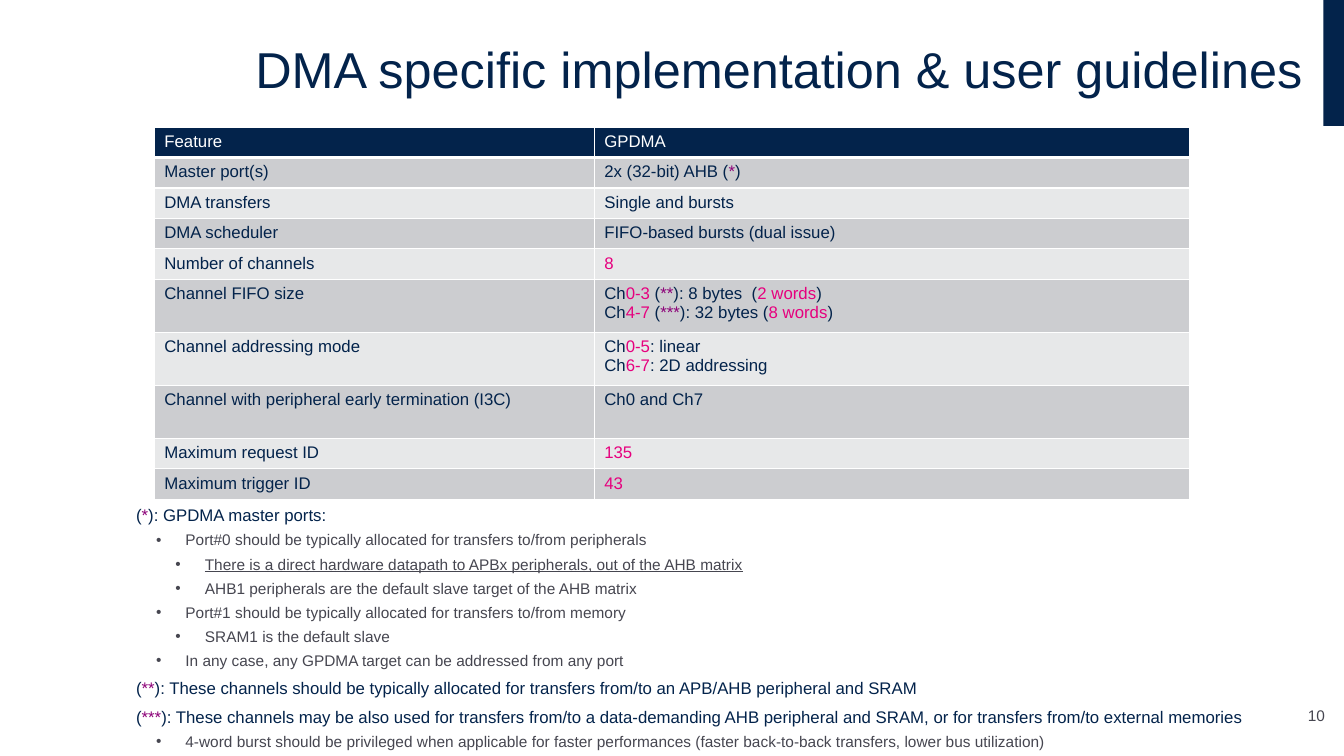
from lxml import etree
from pptx import Presentation
from pptx import util as u
from pptx.dml.color import RGBColor
from pptx.enum import shapes, text
from pptx.oxml.ns import qn

PX = 4762.5
HEX = {
    "navy": "03234B", "grey": "464650", "pink": "E6007E", "plum": "8C0078",
    "white": "FFFFFF", "dark": "CCCDD0", "light": "E7E8E9",
}
ROWS = [
    ("Master port(s)", [["2x (32-bit) AHB (", ("*", "plum"), ")"]]),
    ("DMA transfers", [["Single and bursts"]]),
    ("DMA scheduler", [["FIFO-based bursts (dual issue)"]]),
    ("Number of channels", [[("8", "pink")]]),
    ("Channel FIFO size", [
        ["Ch", ("0-3", "pink"), " (", ("**", "plum"), "): 8 bytes  (", ("2 words", "pink"), ")"],
        ["Ch", ("4-7", "pink"), " (", ("***", "plum"), "): 32 bytes (", ("8 words", "pink"), ")"],
    ]),
    ("Channel addressing mode", [
        ["Ch", ("0-5", "pink"), ": linear"],
        ["Ch", ("6-7", "pink"), ": 2D addressing"],
    ]),
    ("Channel with peripheral early termination (I3C)", [["Ch0 and Ch7"]]),
    ("Maximum request ID", [[("135", "pink")]]),
    ("Maximum trigger ID", [[("43", "pink")]]),
]
HIGH = [58] * 5 + [101] * 3 + [58] * 2
NOTES = [
    (2, ["(", ("*", "plum"), "): GPDMA master ports:"]),
    (3, ["Port#0 should be typically allocated for transfers to/from peripherals"]),
    (4, ["There is a direct hardware datapath to APBx peripherals, out of the AHB matrix"]),
    (4, ["AHB1 peripherals are the default slave target of the AHB matrix"]),
    (3, ["Port#1 should be typically allocated for transfers to/from memory"]),
    (4, ["SRAM1 is the default slave"]),
    (3, ["In any case, any GPDMA target can be addressed from any port"]),
    (2, ["(", ("**", "plum"), "): These channels should be typically allocated for "
         "transfers from/to an APB/AHB peripheral and SRAM"]),
    (2, ["(", ("***", "plum"), "): These channels may be also used for transfers from/to "
         "a data-demanding AHB peripheral and SRAM, or for transfers from/to external memories"]),
    (3, ["4-word burst should be privileged when applicable for faster performances "
         "(faster back-to-back transfers, lower bus utilization)"]),
]
STYLE = {2: (113, 0, 6, 12, "navy"), 3: (207, -56, 4, 11, "grey"), 4: (244, -56, 4, 11, "grey")}
LINED = "There is a direct"


def emu(px):
    return u.Emu(int(px * PX))


def rgb(name):
    return RGBColor.from_string(HEX[name])


def place(item, left, top, width, height):
    item.left, item.top = emu(left), emu(top)
    item.width, item.height = emu(width), emu(height)


def write(para, parts, size, ink):
    for part in parts:
        words, tone = (part, ink) if isinstance(part, str) else part
        run = para.add_run()
        run.text = words
        font = run.font
        font.name, font.size = "Arial", u.Pt(size)
        font.bold = False
        font.color.rgb = rgb(tone)
        if words.startswith(LINED):
            font.underline = True


def setup(frame, anchor):
    frame.word_wrap = True
    frame.auto_size = text.MSO_AUTO_SIZE.NONE
    frame.vertical_anchor = anchor


def bullet(para, left, indent, ink):
    props = para._p.get_or_add_pPr()
    props.set("marL", str(emu(left)))
    props.set("indent", str(emu(indent)))
    if not indent:
        etree.SubElement(props, qn("a:buNone"))
        return
    tint = etree.SubElement(props, qn("a:buClr"))
    etree.SubElement(tint, qn("a:srgbClr"), val=HEX[ink])
    etree.SubElement(props, qn("a:buFont"), typeface="Arial")
    etree.SubElement(props, qn("a:buChar"), char="•")


def border(cell, base):
    props = cell._tc.get_or_add_tcPr()
    sides = zip(("lnL", "lnR", "lnT", "lnB"), (1, 1, 1, base))
    for spot, (side, wide) in enumerate(sides):
        line = etree.Element(qn("a:" + side), w=str(u.Pt(wide)))
        fill = etree.SubElement(line, qn("a:solidFill"))
        etree.SubElement(fill, qn("a:srgbClr"), val=HEX["white"])
        props.insert(spot, line)


def fill_cell(cell, lines, ink, back, base=1):
    cell.fill.solid()
    cell.fill.fore_color.rgb = rgb(back)
    border(cell, base)
    frame = cell.text_frame
    for num, parts in enumerate(lines):
        para = frame.add_paragraph() if num else frame.paragraphs[0]
        write(para, parts, 12, ink)


def add_bar(slide):
    bar = slide.shapes.add_shape(
        shapes.MSO_SHAPE.RECTANGLE, emu(2521), 0, emu(39), emu(240))
    bar.shadow.inherit = False
    bar.fill.solid()
    bar.fill.fore_color.rgb = rgb("navy")
    bar.line.fill.background()


def add_grid(slide):
    grid = slide.shapes.add_table(
        len(HIGH), 2, emu(294), emu(242), emu(1972), emu(sum(HIGH))).table
    for col, wide in zip(grid.columns, (838, 1134)):
        col.width = emu(wide)
    for row, high in zip(grid.rows, HIGH):
        row.height = emu(high)
    for col, head in enumerate(("Feature", "GPDMA")):
        fill_cell(grid.cell(0, col), [[head]], "white", "navy", 3)
    for num, (name, lines) in enumerate(ROWS, 1):
        back = "dark" if num % 2 else "light"
        fill_cell(grid.cell(num, 0), [[name]], "navy", back)
        fill_cell(grid.cell(num, 1), lines, "navy", back)


def add_title(slide):
    title = slide.shapes.title
    place(title, 63, 0, 2438, 275)
    setup(title.text_frame, text.MSO_ANCHOR.MIDDLE)
    para = title.text_frame.paragraphs[0]
    para.alignment = text.PP_ALIGN.RIGHT
    para.line_spacing = 0.9
    write(para, ["DMA specific implementation & user guidelines"], 36, "navy")


def add_notes(slide):
    body = slide.placeholders[1]
    place(body, 127, 952, 2434, 492)
    frame = body.text_frame
    setup(frame, text.MSO_ANCHOR.TOP)
    for num, (level, parts) in enumerate(NOTES):
        para = frame.add_paragraph() if num else frame.paragraphs[0]
        left, indent, gap, size, ink = STYLE[level]
        para.level = level
        bullet(para, left, indent, ink)
        para.space_before = u.Pt(gap)
        write(para, parts, size, ink)


def add_number(slide):
    box = slide.shapes.add_textbox(emu(2438), emu(1329), emu(86), emu(61))
    frame = box.text_frame
    setup(frame, text.MSO_ANCHOR.BOTTOM)
    frame.margin_left = frame.margin_right = 0
    para = frame.paragraphs[0]
    para.alignment = text.PP_ALIGN.RIGHT
    write(para, ["10"], 11, "grey")


def main():
    deck = Presentation()
    deck.slide_width, deck.slide_height = emu(2560), emu(1440)
    slide = deck.slides.add_slide(deck.slide_layouts[1])
    add_bar(slide)
    add_grid(slide)
    add_title(slide)
    add_number(slide)
    add_notes(slide)
    deck.save("out.pptx")


if __name__ == "__main__":
    main()
